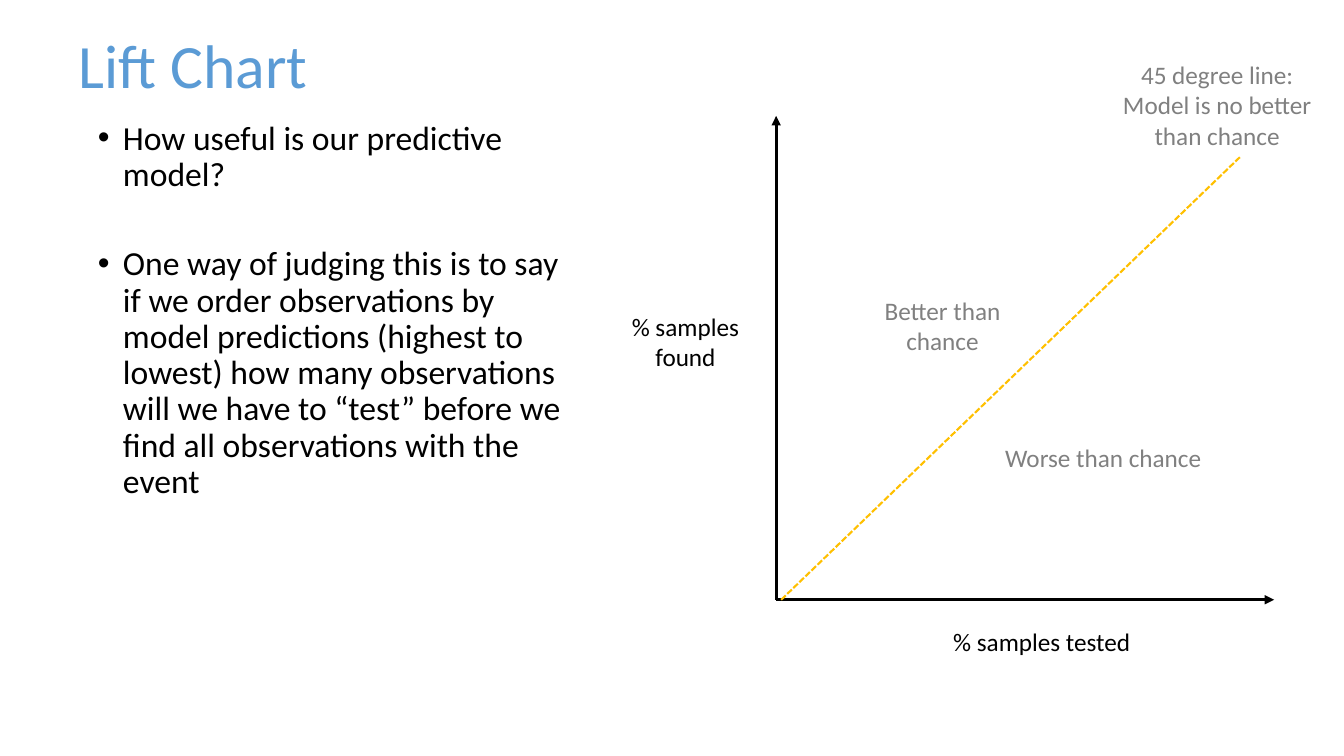
import pptx
import pptx.util
import pptx.dml.color
import pptx.enum.dml
import pptx.enum.shapes
import pptx.enum.text
import pptx.oxml.ns
import lxml.etree

Pt = pptx.util.Pt
ALIGN = pptx.enum.text.PP_ALIGN
ANCHOR = pptx.enum.text.MSO_ANCHOR
qn = pptx.oxml.ns.qn

prs = pptx.Presentation()
prs.slide_width = pptx.util.Inches(13.33)
prs.slide_height = pptx.util.Inches(7.5)
s = prs.slides.add_slide(prs.slide_layouts[1])

# Grid of 160 columns by 90 rows
COL, ROW = prs.slide_width / 160, prs.slide_height / 90


def grid(*cells):
    return [round(c * (ROW if i % 2 else COL)) for i, c in enumerate(cells)]


def write(sp, lines, size, color, align, **para):
    """Fill a shape with paragraphs in one format."""
    tf = sp.text_frame
    tf.word_wrap = True
    tf.auto_size = pptx.enum.text.MSO_AUTO_SIZE.NONE
    for i, line in enumerate(lines):
        p = tf.paragraphs[0] if i == 0 else tf.add_paragraph()
        for name, value in {"alignment": align, **para}.items():
            setattr(p, name, value)
        r = p.add_run()
        r.text = line
        for name, value in {"name": "Calibri", "size": Pt(size)}.items():
            setattr(r.font, name, value)
        r.font.color.rgb = pptx.dml.color.RGBColor.from_string(color)
    return tf


# Title and bullets
title, body = s.shapes.title, s.placeholders[1]
for sp, box in ((title, (8.16, 1.08, 142.68, 14.16)), (body, (10.44, 13.8, 59.28, 60.96))):
    sp.left, sp.top, sp.width, sp.height = grid(*box)

tf = write(title, ["Lift Chart"], 44, "5B9BD5", ALIGN.LEFT, line_spacing=0.9)
tf.vertical_anchor = ANCHOR.MIDDLE

tf = write(body, [
    "How useful is our predictive model?",
    "One way of judging this is to say if we order observations by model predictions "
    "(highest to lowest) how many observations will we have to “test” before we find "
    "all observations with the event",
], 24, "000000", ALIGN.LEFT, line_spacing=0.9)
tf.vertical_anchor = ANCHOR.TOP
indent = pptx.util.Inches(0.25)
for p, gap in zip(tf.paragraphs, (10, 38)):
    p.space_before = Pt(gap)
    pPr = p._p.get_or_add_pPr()
    pPr.set("marL", str(indent))
    pPr.set("indent", str(-indent))
    lxml.etree.SubElement(pPr, qn("a:buFont")).set("typeface", "Arial")
    lxml.etree.SubElement(pPr, qn("a:buChar")).set("char", "•")

# Axes and the 45 degree line: ends, colour, width, is axis
origin = (92.4, 71.4)
for start, end, color, width, is_axis in (
    (origin, (92.4, 13.8), "000000", 2.25, True),
    (origin, (151.68, 71.4), "000000", 2.25, True),
    ((93, 71.4), (147.72, 18.6), "FFC000", 1.5, False),
):
    line = s.shapes.add_connector(
        pptx.enum.shapes.MSO_CONNECTOR.STRAIGHT, *grid(*start, *end))
    line.line.color.rgb = pptx.dml.color.RGBColor.from_string(color)
    line.line.width = Pt(width)
    if is_axis:
        ln = line.line._get_or_add_ln()
        lxml.etree.SubElement(ln, qn("a:tailEnd")).set("type", "triangle")
    else:
        line.line.dash_style = pptx.enum.dml.MSO_LINE.SQUARE_DOT
    lxml.etree.SubElement(line._element.spPr, qn("a:effectLst"))

# Axis labels in black, region labels in grey
for box, color, lines in (
    ((70.2, 36.48, 22.8, 8.52), "000000", ["% samples", "found"]),
    ((108.96, 73.92, 30.12, 4.8), "000000", ["% samples tested"]),
    ((132, 6.48, 25.8, 12.12), "808080", ["45 degree line:", "Model is no better than chance"]),
    ((118.44, 52.08, 25.8, 8.52), "808080", ["Worse than chance"]),
    ((101.04, 34.56, 22.32, 8.52), "808080", ["Better than chance"]),
):
    write(s.shapes.add_textbox(*grid(*box)), lines, 18, color, ALIGN.CENTER)

prs.save("out.pptx")
